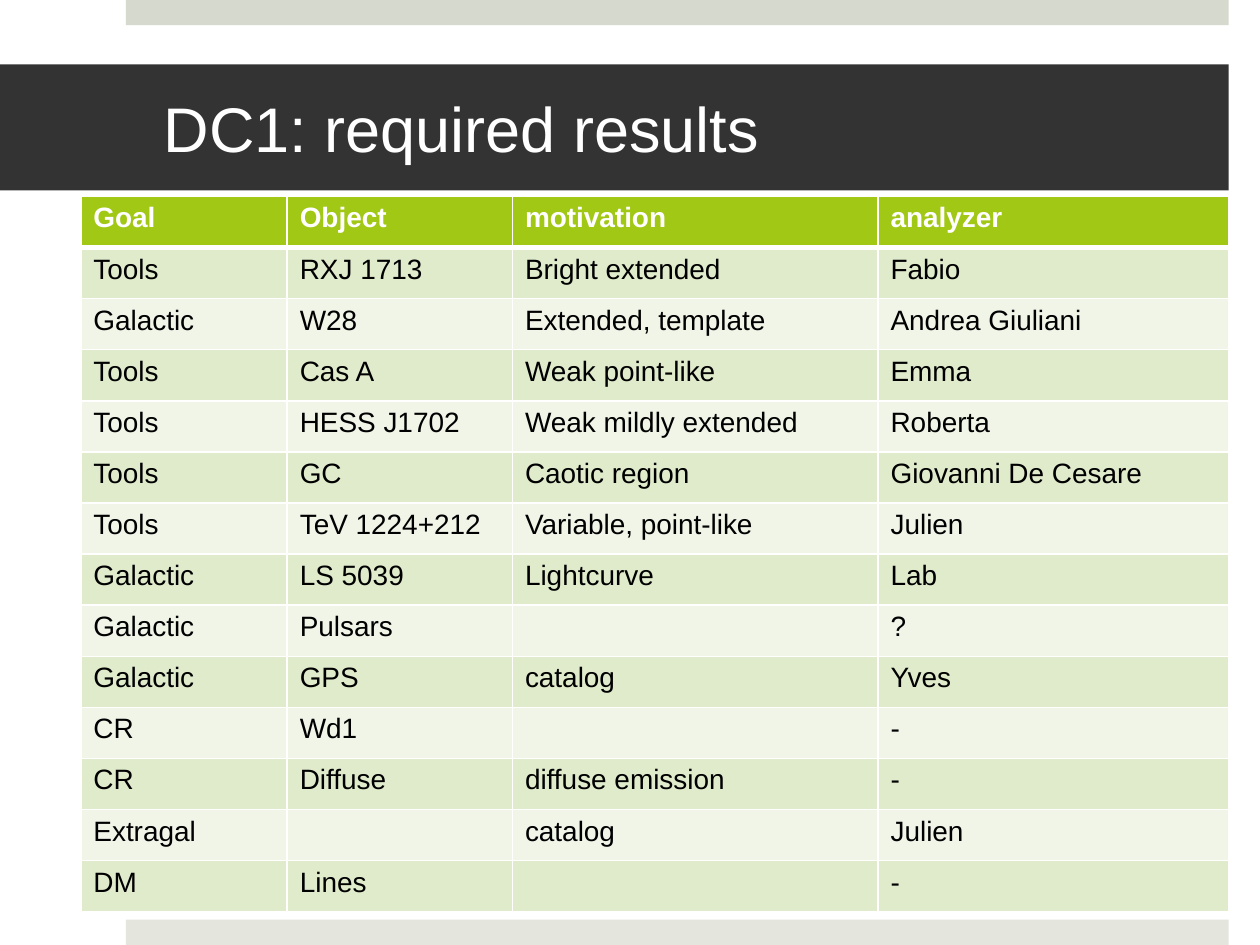
from lxml import etree
from pptx import Presentation
from pptx.dml.color import RGBColor
from pptx.enum.shapes import MSO_SHAPE
from pptx.enum.text import MSO_ANCHOR, PP_ALIGN
from pptx.oxml.ns import qn
from pptx.util import Cm, Pt

RECTANGLE = MSO_SHAPE.RECTANGLE
MIDDLE = MSO_ANCHOR.MIDDLE
LEFT = PP_ALIGN.LEFT

WHITE = RGBColor(0xFF, 0xFF, 0xFF)
BLACK = RGBColor(0x00, 0x00, 0x00)
CHARCOAL = RGBColor(0x33, 0x33, 0x33)
TOP_GREY = RGBColor(0xD6, 0xD9, 0xCD)
BOTTOM_GREY = RGBColor(0xE4, 0xE6, 0xDE)
GREEN = RGBColor(0xA2, 0xC8, 0x16)
BAND_COLORS = (RGBColor(0xE0, 0xEB, 0xCC), RGBColor(0xF0, 0xF5, 0xE8))

TITLE_FORMAT = {"name": "Arial", "size": Pt(36), "bold": False}
HEADER_FORMAT = {"name": "Arial", "size": Pt(16), "bold": True}
BODY_FORMAT = {"name": "Arial", "size": Pt(16), "bold": False}
TITLE_FRAME = {
    "margin_left": Cm(3.3),
    "margin_right": Cm(0.76),
    "margin_top": Cm(0.13),
    "margin_bottom": Cm(0.13),
    "vertical_anchor": MIDDLE,
    "word_wrap": True,
}

COLUMN_WIDTHS = (4.16, 4.54, 7.37, 7.06)
ROW_HEIGHT = 1.03
RESULTS = (
    ("Goal", "Object", "motivation", "analyzer"),
    ("Tools", "RXJ 1713", "Bright extended", "Fabio"),
    ("Galactic", "W28", "Extended, template", "Andrea Giuliani"),
    ("Tools", "Cas A", "Weak point-like", "Emma"),
    ("Tools", "HESS J1702", "Weak mildly extended", "Roberta"),
    ("Tools", "GC", "Caotic region", "Giovanni De Cesare"),
    ("Tools", "TeV 1224+212", "Variable, point-like", "Julien"),
    ("Galactic", "LS 5039", "Lightcurve", "Lab"),
    ("Galactic", "Pulsars", "", "?"),
    ("Galactic", "GPS", "catalog", "Yves"),
    ("CR", "Wd1", "", "-"),
    ("CR", "Diffuse", "diffuse emission", "-"),
    ("Extragal", "", "catalog", "Julien"),
    ("DM", "Lines", "", "-"),
)


def set_attributes(target, values):
    for name, value in values.items():
        setattr(target, name, value)


def write_text(frame, text, values, color):
    para = frame.paragraphs[0]
    para.alignment = LEFT
    span = para.add_run()
    span.text = text
    set_attributes(span.font, values)
    span.font.color.rgb = color


def add_bar(page, left, top, width, height, color):
    bar = page.shapes.add_shape(RECTANGLE, Cm(left), Cm(top), Cm(width), Cm(height))
    bar.shadow.inherit = False
    bar.fill.solid()
    bar.fill.fore_color.rgb = color
    bar.line.fill.background()
    return bar


def add_title(page, text):
    box = add_bar(page, 0, 1.3, 24.77, 2.54, CHARCOAL)
    set_attributes(box.text_frame, TITLE_FRAME)
    write_text(box.text_frame, text, TITLE_FORMAT, WHITE)


def set_borders(cell, widths):
    properties = cell._tc.get_or_add_tcPr()
    for side, width in widths.items():
        line = etree.SubElement(properties, qn(f"a:ln{side}"), w=str(Pt(width)))
        fill = etree.SubElement(line, qn("a:solidFill"))
        etree.SubElement(fill, qn("a:srgbClr"), val=str(WHITE))


def format_cell(cell, text, row_index):
    is_header = row_index == 0
    set_borders(cell, {
        "L": 1,
        "R": 1,
        "T": 3 if row_index == 1 else 1,
        "B": 3 if is_header else 1,
    })
    cell.fill.solid()
    cell.fill.fore_color.rgb = GREEN if is_header else BAND_COLORS[(row_index - 1) % 2]
    if text:
        values, color = (HEADER_FORMAT, WHITE) if is_header else (BODY_FORMAT, BLACK)
        write_text(cell.text_frame, text, values, color)


def add_results_table(page):
    table = page.shapes.add_table(
        len(RESULTS), len(COLUMN_WIDTHS), Cm(1.63), Cm(3.96),
        Cm(sum(COLUMN_WIDTHS)), Cm(ROW_HEIGHT * len(RESULTS)),
    ).table
    for column, width in zip(table.columns, COLUMN_WIDTHS):
        column.width = Cm(width)
    for row_index, (row, texts) in enumerate(zip(table.rows, RESULTS)):
        row.height = Cm(ROW_HEIGHT)
        for cell, text in zip(row.cells, texts):
            format_cell(cell, text, row_index)


def main():
    deck = Presentation()
    deck.slide_width, deck.slide_height = Cm(25.4), Cm(19.05)
    page = deck.slides.add_slide(deck.slide_layouts[6])
    add_bar(page, 2.54, 0, 22.23, 0.51, TOP_GREY)
    add_bar(page, 2.54, 18.54, 22.23, 0.51, BOTTOM_GREY)
    add_title(page, "DC1: required results")
    add_results_table(page)
    deck.save("out.pptx")


if __name__ == "__main__":
    main()
